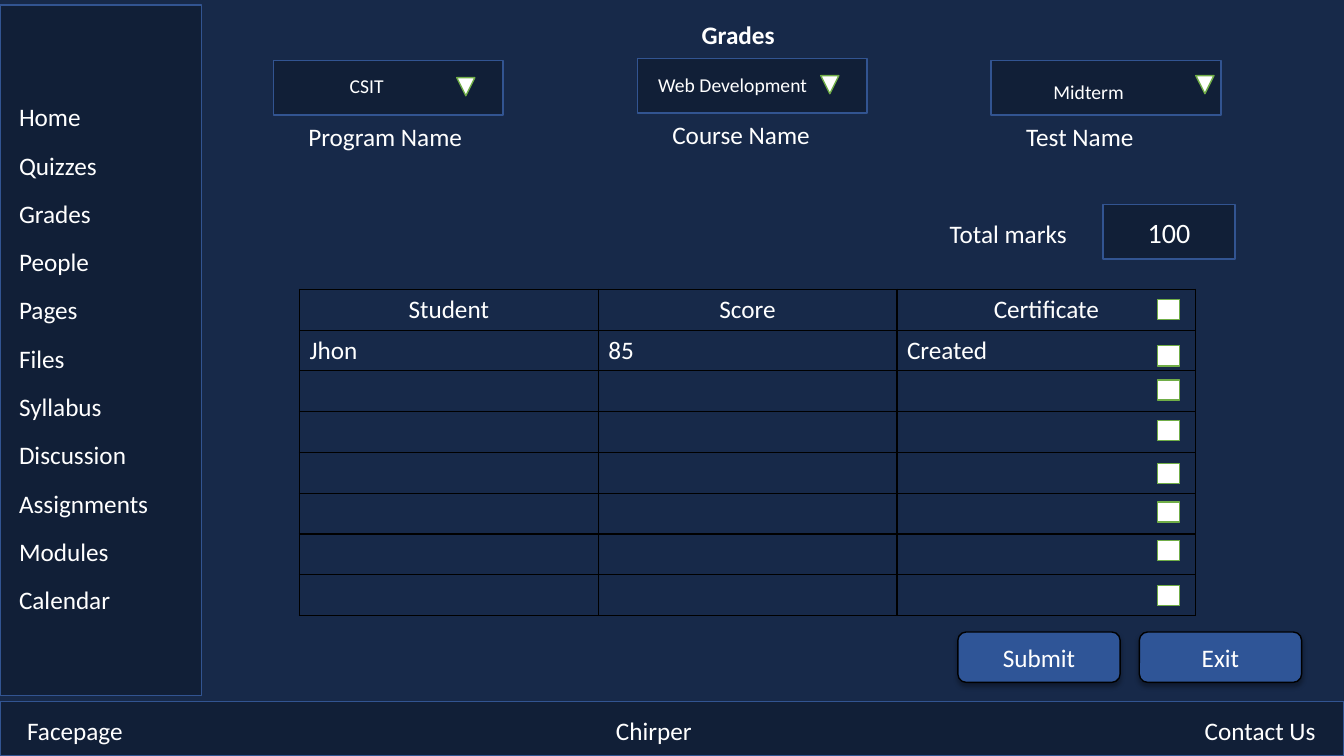
"""Build the grades screen of a course portal."""
from dataclasses import dataclass

import pptx
import pptx.dml.color
import pptx.enum.shapes
import pptx.enum.text
import pptx.oxml
import pptx.oxml.ns
import pptx.util
from pptx.util import Inches

SHAPE = pptx.enum.shapes.MSO_SHAPE
ALIGN = pptx.enum.text.PP_ALIGN
MIDDLE = pptx.enum.text.MSO_ANCHOR.MIDDLE
FIT = pptx.enum.text.MSO_AUTO_SIZE.SHAPE_TO_FIT_TEXT
SPACE = pptx.oxml.ns.nsdecls("a")

NIGHT, PANEL, EDGE = "172949", "111F37", "325491"
WHITE, GREEN, BLUE, BLACK = "FFFFFF", "70AD47", "2F5597", "000000"


@dataclass
class Label:
    text: str
    left: float
    top: float
    width: float
    size: int = 18
    bold: bool = False


@dataclass
class Picker:
    left: float
    top: float
    name: str
    arrow: tuple[float, float]
    value: Label


@dataclass
class Button:
    text: str
    left: float


MENU = ["Home", "Quizzes", "Grades", "People", "Pages", "Files", "Syllabus",
        "Discussion", "Assignments", "Modules", "Calendar"]
LABELS = [
    Label("Facepage", 0.17, 7.05, 1.31),
    Label("Chirper", 6.01, 7.05, 1.31),
    Label("Contact Us", 11.85, 7.05, 1.31),
    Label("Grades", 6.86, 0.14, 1.45, bold=True),
    Label("Total marks", 9.32, 2.12, 1.65),
]
PICKERS = [
    Picker(2.71, 0.6, "Program Name", (4.53, 0.77), Label("CSIT", 3.37, 0.68, 1.13, 14)),
    Picker(9.83, 0.6, "Test Name", (11.86, 0.75), Label("Midterm", 10.35, 0.74, 1.55, 14)),
    Picker(6.32, 0.58, "Course Name", (8.14, 0.75),
           Label("Web Development", 6.43, 0.67, 2.36, 14)),
]
BUTTONS = [Button("Exit", 11.3), Button("Submit", 9.5)]
CHECKS = [2.97, 3.43, 3.77, 4.17, 4.6, 4.98, 5.36, 5.81]
ROWS = [["Student", "Score", "Certificate"], ["Jhon", "85", "Created"]]


def tint(code: str) -> pptx.dml.color.RGBColor:
    """Turn a hex string into a colour."""
    return pptx.dml.color.RGBColor.from_string(code)


def style(para, size: int = 18, bold: bool = False) -> None:
    """Set the font of a paragraph."""
    font = para.font
    font.name, font.size, font.bold = "Calibri", pptx.util.Pt(size), bold
    font.color.rgb = tint(WHITE)


def write(slide, label: Label, height: float = 0.4, middle: bool = False) -> None:
    """Place a label as a text box."""
    box = slide.shapes.add_textbox(Inches(label.left), Inches(label.top),
                                   Inches(label.width), Inches(height))
    frame = box.text_frame
    frame.word_wrap = True
    frame.auto_size = FIT
    if middle:
        frame.vertical_anchor = MIDDLE
    frame.text = label.text
    style(frame.paragraphs[0], label.size, label.bold)


def draw(slide, kind, left: float, top: float, width: float, height: float,
         fill: str = PANEL, line: str = EDGE, text: str = "", size: int = 18):
    """Draw a filled shape with centred text, if any."""
    shape = slide.shapes.add_shape(kind, Inches(left), Inches(top),
                                   Inches(width), Inches(height))
    shape.shadow.inherit = False
    shape.fill.solid()
    shape.fill.fore_color.rgb = tint(fill)
    shape.line.color.rgb = tint(line)
    shape.line.width = pptx.util.Pt(1)
    if text:
        frame = shape.text_frame
        frame.vertical_anchor = MIDDLE
        frame.text = text
        frame.paragraphs[0].alignment = ALIGN.CENTER
        style(frame.paragraphs[0], size)
    return shape


def pick(slide, item: Picker) -> None:
    """Draw a drop-down box with its name, arrow and value."""
    draw(slide, SHAPE.RECTANGLE, item.left, item.top, 2.28, 0.54)
    name = Label(item.name, item.left + 0.25, item.top + 0.55, 1.77)
    write(slide, name, middle=True)
    arrow = draw(slide, SHAPE.ISOSCELES_TRIANGLE, *item.arrow, 0.18, 0.18, WHITE, GREEN)
    arrow.rotation = 180
    write(slide, item.value, 0.34)


def press(slide, item: Button) -> None:
    """Draw a raised button."""
    shape = draw(slide, SHAPE.ROUNDED_RECTANGLE, item.left, 6.27, 1.61, 0.5,
                 BLUE, BLACK, item.text)
    glow = shape._element.spPr.find(pptx.oxml.ns.qn("a:effectLst"))
    glow.append(pptx.oxml.parse_xml(
        f'<a:outerShdw {SPACE} blurRad="44450" dist="27940" dir="5400000" algn="ctr"'
        f' rotWithShape="0"><a:srgbClr val="{BLACK}"><a:alpha val="32000"/>'
        '</a:srgbClr></a:outerShdw>'))


def border(cell) -> None:
    """Give a cell black edges and no fill."""
    props = cell._tc.get_or_add_tcPr()
    for side in ("lnL", "lnR", "lnT", "lnB"):
        props.append(pptx.oxml.parse_xml(
            f'<a:{side} {SPACE} w="12700"><a:solidFill><a:srgbClr val="{BLACK}"/>'
            f'</a:solidFill></a:{side}>'))
    cell.fill.background()


def grid(slide) -> None:
    """Add the table of scores."""
    table = slide.shapes.add_table(len(CHECKS), 3, Inches(2.97), Inches(2.87),
                                   Inches(8.89), Inches(3.24)).table
    for row in range(len(CHECKS)):
        for col in range(3):
            cell = table.cell(row, col)
            border(cell)
            para = cell.text_frame.paragraphs[0]
            if row < len(ROWS):
                para.text = ROWS[row][col]
            if row == 0:
                para.alignment = ALIGN.CENTER
            style(para)


def main() -> None:
    """Build and save the slide."""
    deck = pptx.Presentation()
    deck.slide_width, deck.slide_height = Inches(13.33), Inches(7.5)
    slide = deck.slides.add_slide(deck.slide_layouts[6])
    slide.background.fill.solid()
    slide.background.fill.fore_color.rgb = tint(NIGHT)

    side = draw(slide, SHAPE.ROUNDED_RECTANGLE, 0, 0.05, 2, 6.85)
    side.adjustments[0] = 0
    draw(slide, SHAPE.RECTANGLE, 0, 6.96, 13.33, 0.54)
    for row, text in enumerate(MENU):
        write(slide, Label(text, 0.09, 0.96 + row * 4.31 / 9, 1.79))
    for label in LABELS:
        write(slide, label)
    for item in PICKERS:
        pick(slide, item)
    draw(slide, SHAPE.RECTANGLE, 10.94, 2.03, 1.31, 0.54, text="100", size=20)
    for top in CHECKS:
        draw(slide, SHAPE.RECTANGLE, 11.48, top, 0.22, 0.2, WHITE, GREEN)
    grid(slide)
    for item in BUTTONS:
        press(slide, item)
    deck.save("out.pptx")


if __name__ == "__main__":
    main()
